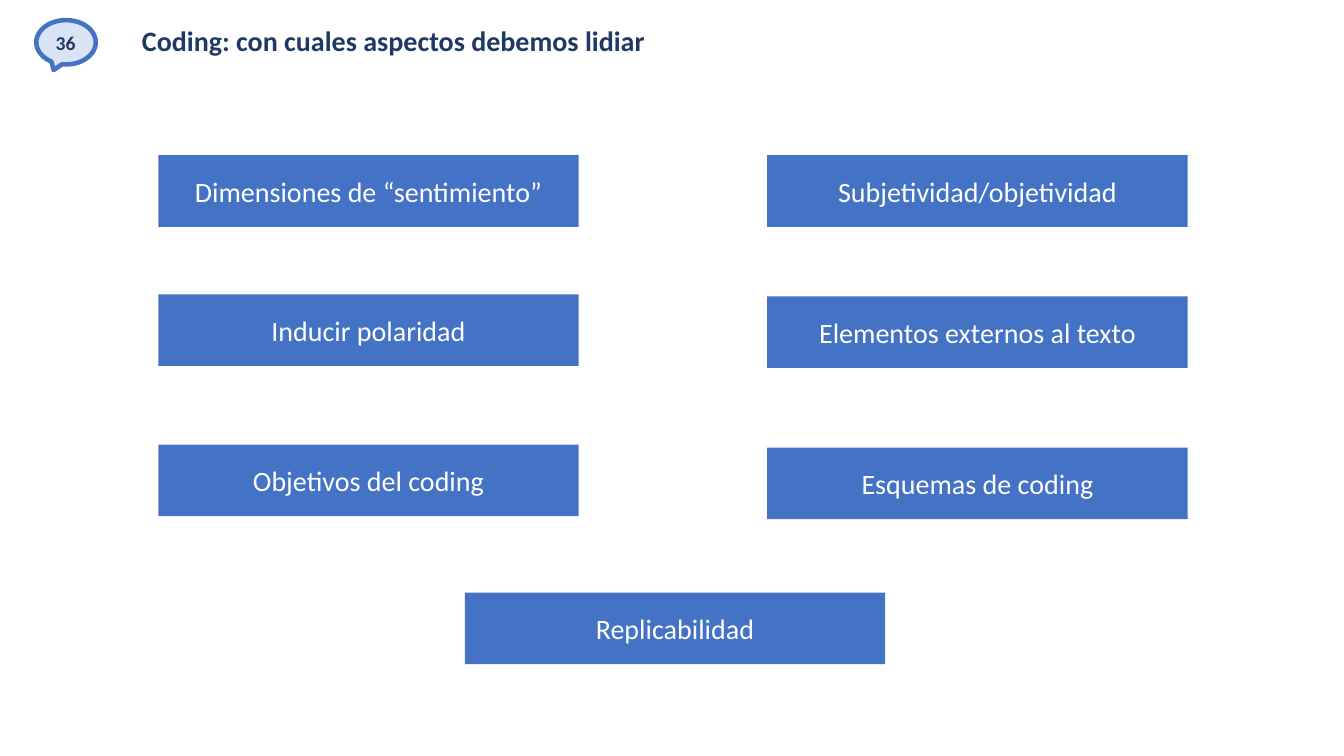
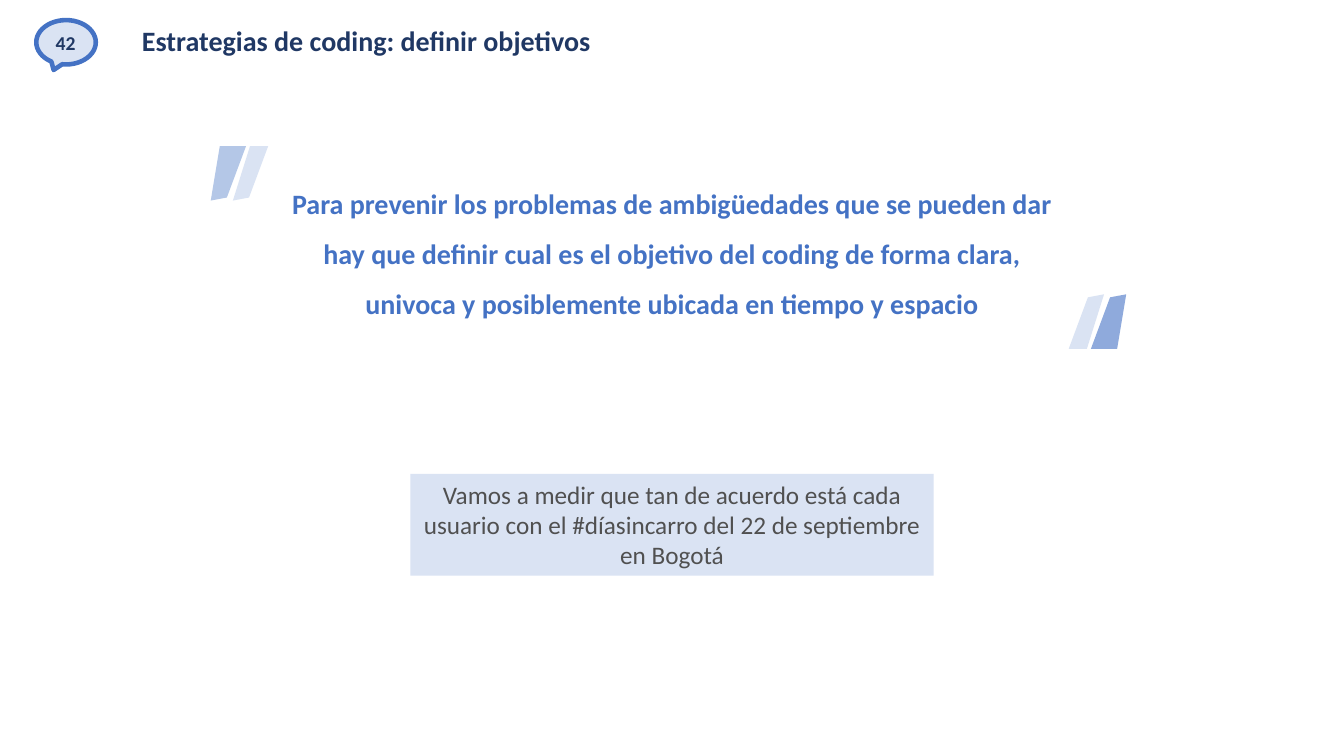
from pptx import Presentation
from pptx import util as u
from pptx.dml import color
from pptx.enum import shapes, text as txt

COLORS = {
    "navy": "203864",
    "blue": "4472C4",
    "mid": "8FAADC",
    "light": "B4C7E7",
    "pale": "DAE3F3",
    "gray": "505050",
    "white": "FFFFFF",
}
FONT = "Calibri"


def rgb(name):
    return color.RGBColor.from_string(COLORS[name])


def write(box, text, size=20, ink="navy", bold=False, align="CENTER", spacing=1.0):
    frame = box.text_frame
    frame.word_wrap = True
    frame.vertical_anchor = txt.MSO_ANCHOR.MIDDLE
    para = frame.paragraphs[0]
    para.alignment = getattr(txt.PP_ALIGN, align)
    para.line_spacing = spacing
    span = para.add_run()
    span.text = text
    span.font.name = FONT
    span.font.size = u.Pt(size)
    span.font.bold = bold
    span.font.color.rgb = rgb(ink)


class Slides:
    """Hold the shared style and the slide being built."""

    def __init__(self):
        self.deck = Presentation()
        self.deck.slide_width = u.Inches(13.33)
        self.deck.slide_height = u.Inches(7.5)
        self.page = None

    def start(self, number, title):
        self.page = self.deck.slides.add_slide(self.deck.slide_layouts[6])
        callout = shapes.MSO_SHAPE.OVAL_CALLOUT
        self.shape(0.36, 0.2, 0.59, 0.44, "pale", kind=callout, line="blue")
        self.label(1.31, 0.22, 10.77, 0.42, title, bold=True, align="LEFT", spacing=0.85)
        self.label(0.24, 0.17, 0.82, 0.5, str(number), size=14, bold=True)

    def paint(self, shape, fill, line=None):
        shape.shadow.inherit = False
        shape.fill.solid()
        shape.fill.fore_color.rgb = rgb(fill)
        if line:
            shape.line.color.rgb = rgb(line)
            shape.line.width = u.Pt(3.25)
        else:
            shape.line.fill.background()

    def shape(self, left, top, width, height, fill, kind=shapes.MSO_SHAPE.RECTANGLE, line=None):
        shape = self.page.shapes.add_shape(kind, *map(u.Inches, (left, top, width, height)))
        self.paint(shape, fill, line)
        return shape

    def label(self, left, top, width, height, text, **style):
        box = self.page.shapes.add_textbox(*map(u.Inches, (left, top, width, height)))
        write(box, text, **style)

    def panel(self, left, top, width, height, text, fill="blue", **style):
        write(self.shape(left, top, width, height, fill), text, **style)

    def outline(self, points, fill):
        corners = [(u.Inches(x), u.Inches(y)) for x, y in points]
        builder = self.page.shapes.build_freeform(*corners[0])
        builder.add_line_segments(corners[1:], close=True)
        self.paint(builder.convert_to_shape(), fill)


def aspects(slides):
    slides.start(36, "Coding: con cuales aspectos debemos lidiar")
    left, middle, right = 1.57, 4.61, 7.61
    for x, y, text in (
        (left, 1.54, "Dimensiones de “sentimiento”"),
        (right, 1.54, "Subjetividad/objetividad"),
        (left, 2.92, "Inducir polaridad"),
        (right, 2.94, "Elementos externos al texto"),
        (left, 4.41, "Objetivos del coding"),
        (right, 4.44, "Esquemas de coding"),
        (middle, 5.88, "Replicabilidad"),
    ):
        slides.panel(x, y, 4.17, 0.71, text, ink="white")


def objectives(slides):
    slides.start(42, "Estrategias de coding: definir objetivos")
    slides.label(
        2.63, 1.62, 8.07, 1.62,
        "Para prevenir los problemas de ambigüedades que se pueden dar hay que definir "
        "cual es el objetivo del coding de forma clara, univoca y posiblemente ubicada "
        "en tiempo y espacio",
        ink="blue", bold=True, spacing=1.5,
    )
    thin = [(2.31, 1.99), (2.48, 1.45), (2.66, 1.45), (2.47, 1.96)]
    thick = [(2.09, 1.99), (2.18, 1.45), (2.44, 1.45), (2.25, 1.96)]
    for stroke, opening, closing in ((thin, "pale", "pale"), (thick, "light", "mid")):
        slides.outline(stroke, opening)
        slides.outline([(13.26 - x, 4.91 - y) for x, y in stroke], closing)
    slides.panel(
        4.07, 4.7, 5.19, 1.01,
        "Vamos a medir que tan de acuerdo está cada usuario con el #díasincarro "
        "del 22 de septiembre en Bogotá",
        fill="pale", size=18, ink="gray",
    )


def main():
    slides = Slides()
    aspects(slides)
    objectives(slides)
    slides.deck.save("out.pptx")


if __name__ == "__main__":
    main()
